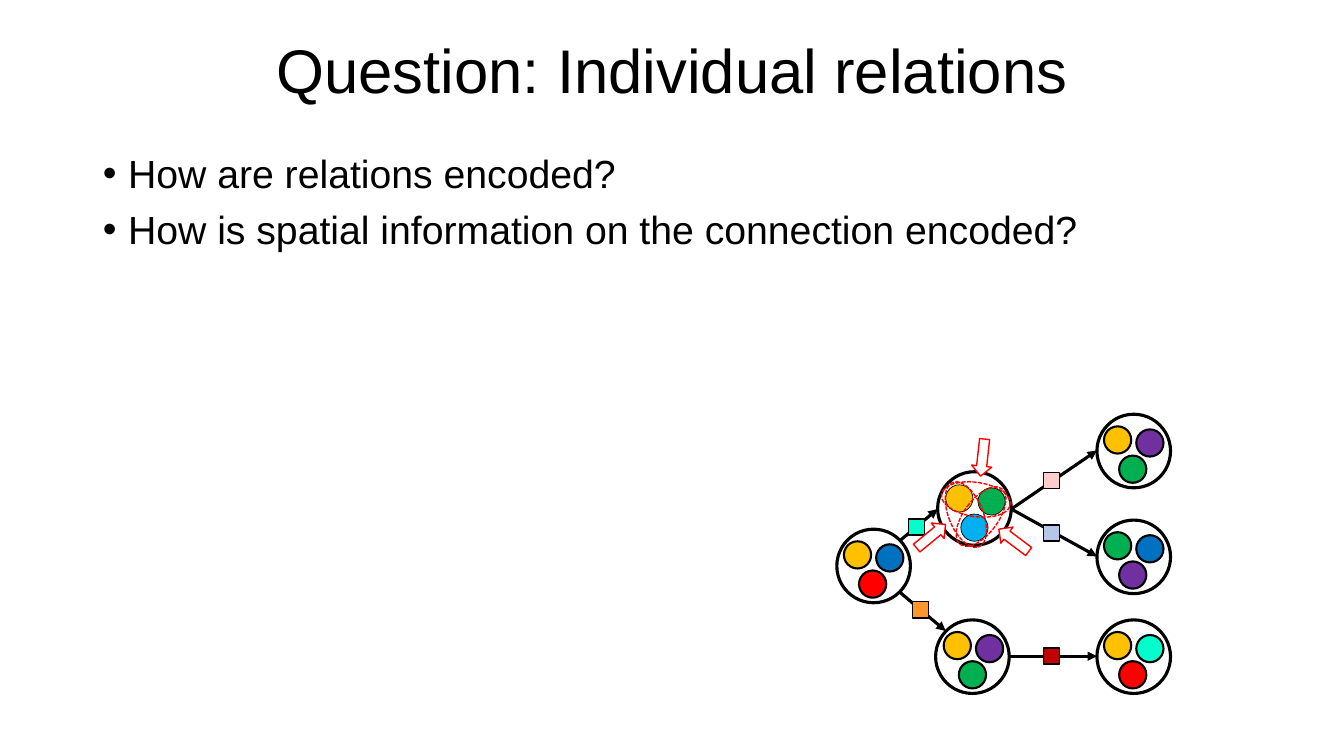
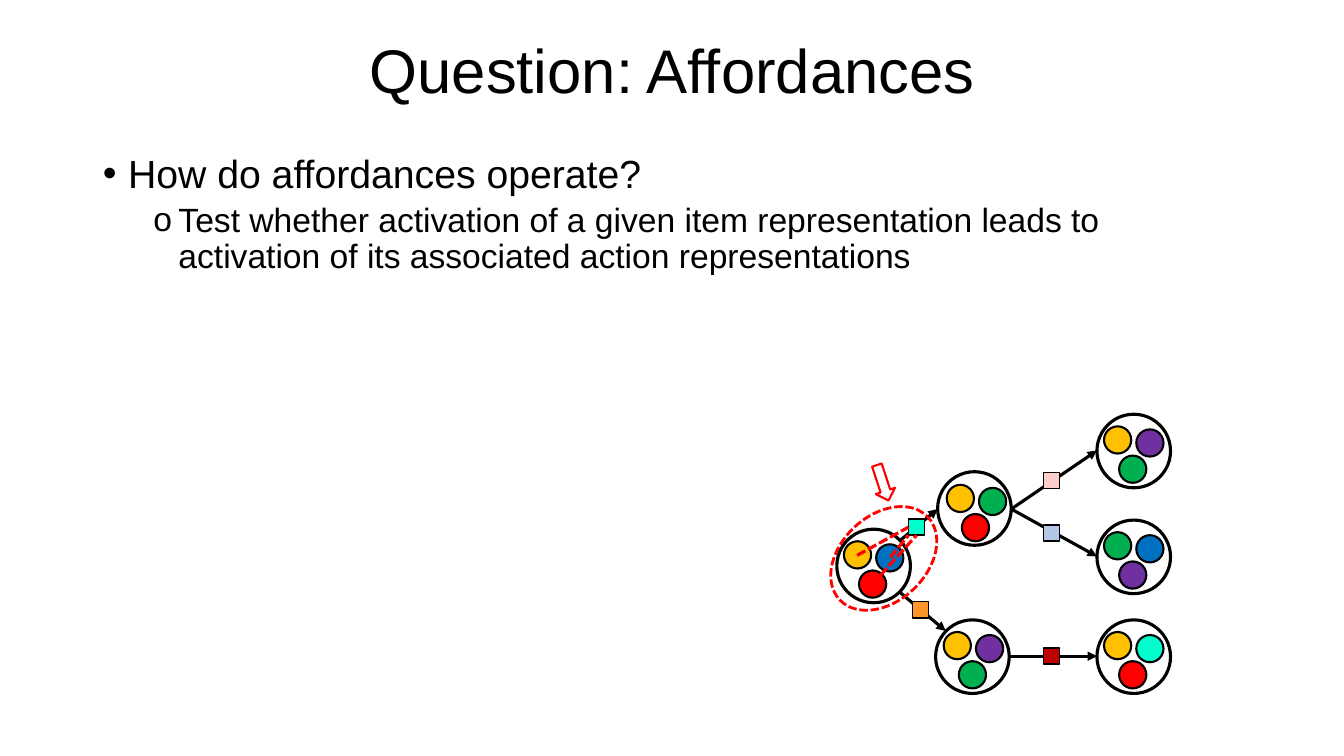
from dataclasses import dataclass
from typing import NamedTuple

from lxml.etree import SubElement
from pptx import Presentation
from pptx.dml.color import RGBColor
from pptx.enum.dml import MSO_LINE
from pptx.enum.shapes import MSO_CONNECTOR, MSO_SHAPE
from pptx.enum.text import MSO_ANCHOR, PP_ALIGN
from pptx.oxml.ns import qn
from pptx.util import Inches, Pt


# Shared look
@dataclass(frozen=True)
class Theme:
    font: str = "Arial"
    title_size: float = 44
    body_sizes: tuple = (28, 24)
    bullets: tuple = ("•", "o")
    indents: tuple = (0.25, 0.75)
    space_before: tuple = (10, 5)
    line_spacing: float = 0.9
    black: str = "000000"
    white: str = "FFFFFF"
    gold: str = "FFC000"
    red: str = "FF0000"
    blue: str = "0070C0"
    sky: str = "00B0F0"
    green: str = "00B050"
    purple: str = "7030A0"
    aqua: str = "00FFCC"
    orange: str = "FE962B"
    maroon: str = "C00000"
    pale_blue: str = "B4C7E7"
    pink: str = "FFCCCC"


THEME = Theme()
NODE_SIZE, DOT_SIZE, ACTION_SIZE = 0.73, 0.27, 0.16
DOT_OFFSETS = ((0.07, 0.12), (0.22, 0.41), (0.39, 0.15))


class Stroke(NamedTuple):
    color: str
    width: float
    dashed: bool = False


class Node(NamedTuple):
    left: float
    top: float
    dots: tuple[str, str, str]  # left, bottom, right
    shift: tuple[float, float] = (0, 0)
    dot_line: float = 1.5


class Action(NamedTuple):
    left: float
    top: float
    fill: str


class Link(NamedTuple):
    start: tuple[float, float]
    end: tuple[float, float]


class Mark(NamedTuple):
    box: tuple[float, float, float, float]
    angle: float


class Point(NamedTuple):
    text: str
    level: int = 0


@dataclass(frozen=True)
class Question:
    title: str
    points: tuple[Point, ...]
    focus: Node
    arrows: tuple[Mark, ...]
    rings: tuple[Mark, ...]
    arrow_line: Stroke
    ring_line: Stroke
    ties: tuple[Link, ...] = ()


# Network common to both slides
NODES = (
    Node(8.3, 5.25, (THEME.gold, THEME.red, THEME.blue)),
    Node(9.28, 6.15, (THEME.gold, THEME.green, THEME.purple), (0.01, 0)),
    Node(10.88, 6.15, (THEME.gold, THEME.red, THEME.aqua)),
    Node(10.88, 5.16, (THEME.green, THEME.purple, THEME.blue)),
    Node(10.88, 4.11, (THEME.gold, THEME.green, THEME.purple)),
)
LINKS = (
    Link((10.01, 6.51), (10.88, 6.51)),
    Link((8.93, 5.88), (9.38, 6.26)),
    Link((10.03, 5.05), (10.88, 5.52)),
    Link((8.93, 5.36), (9.3, 5.05)),
    Link((10.03, 5.05), (10.88, 4.47)),
)
ACTIONS = (
    Action(9.01, 5.15, THEME.aqua),
    Action(9.05, 5.97, THEME.orange),
    Action(10.35, 6.43, THEME.maroon),
    Action(10.35, 5.21, THEME.pale_blue),
    Action(10.35, 4.69, THEME.pink),
)

# What each slide asks and highlights
QUESTIONS = (
    Question(
        "Question: Individual relations",
        (Point("How are relations encoded?"),
         Point("How is spatial information on the connection encoded?")),
        focus=Node(9.3, 4.68, (THEME.gold, THEME.sky, THEME.green), (0.01, 0.01), 0.5),
        arrows=(Mark((9.56, 4.44, 0.37, 0.2), 96.2),
                Mark((9.87, 5.26, 0.37, 0.2), 216.9),
                Mark((9.05, 5.22, 0.37, 0.2), 320.6)),
        rings=(Mark((9.41, 4.76, 0.34, 0.69), 337.7),
               Mark((9.51, 4.61, 0.34, 0.69), 278.4),
               Mark((9.56, 4.78, 0.34, 0.69), 36.5)),
        arrow_line=Stroke(THEME.red, 1),
        ring_line=Stroke(THEME.red, 1, True),
    ),
    Question(
        "Question: Affordances",
        (Point("How do affordances operate?"),
         Point("Test whether activation of a given item representation leads to "
               "activation of its associated action representations", 1)),
        focus=Node(9.3, 4.68, (THEME.gold, THEME.red, THEME.green), (0.02, 0.01)),
        arrows=(Mark((8.57, 4.69, 0.37, 0.2), 71.8),),
        rings=(Mark((8.34, 4.94, 0.85, 1.2), 46.9),),
        arrow_line=Stroke(THEME.red, 1.5),
        ring_line=Stroke(THEME.red, 2, True),
        ties=(Link((8.5, 5.51), (9.01, 5.23)),
              Link((8.83, 5.53), (9.01, 5.31)),
              Link((8.65, 5.8), (9.09, 5.31))),
    ),
)


# Drawing helpers
def apply_format(target, values: dict) -> None:
    for name, value in values.items():
        setattr(target, name, value)


def place(shape, left: float, top: float, width: float, height: float) -> None:
    apply_format(shape, {"left": Inches(left), "top": Inches(top),
                         "width": Inches(width), "height": Inches(height)})


def set_line(line, stroke: Stroke) -> None:
    line.color.rgb = RGBColor.from_string(stroke.color)
    line.width = Pt(stroke.width)
    if stroke.dashed:
        line.dash_style = MSO_LINE.SQUARE_DOT


def add_figure(page, kind, box: tuple, stroke: Stroke,
               fill: str | None = None, angle: float = 0) -> None:
    shape = page.shapes.add_shape(kind, *map(Inches, box))
    shape.shadow.inherit = False
    shape.rotation = angle
    if fill:
        shape.fill.solid()
        shape.fill.fore_color.rgb = RGBColor.from_string(fill)
    else:
        shape.fill.background()
    set_line(shape.line, stroke)


def add_link(page, link: Link, stroke: Stroke, arrow: bool = False) -> None:
    connector = page.shapes.add_connector(
        MSO_CONNECTOR.STRAIGHT, *map(Inches, link.start + link.end))
    set_line(connector.line, stroke)
    if arrow:
        SubElement(connector.line._get_or_add_ln(), qn("a:tailEnd"), type="triangle")
    SubElement(connector._element.spPr, qn("a:effectLst"))


def add_text(para, text: str, size: float) -> None:
    span = para.add_run()
    span.text = text
    apply_format(span.font, {"name": THEME.font, "size": Pt(size)})
    span.font.color.rgb = RGBColor.from_string(THEME.black)


# Slide parts
def write_title(page, text: str) -> None:
    title = page.shapes.title
    place(title, 0.92, 0, 11.5, 1.45)
    apply_format(title.text_frame, {"word_wrap": True,
                                    "vertical_anchor": MSO_ANCHOR.MIDDLE})
    para = title.text_frame.paragraphs[0]
    apply_format(para, {"alignment": PP_ALIGN.CENTER,
                        "line_spacing": THEME.line_spacing})
    add_text(para, text, THEME.title_size)


def write_points(page, points: tuple[Point, ...]) -> None:
    body = page.placeholders[1]
    place(body, 0.92, 1.48, 11.5, 3.34)
    frame = body.text_frame
    for index, point in enumerate(points):
        para = frame.add_paragraph() if index else frame.paragraphs[0]
        level = point.level
        properties = para._p.get_or_add_pPr()
        properties.set("marL", str(Inches(THEME.indents[level])))
        properties.set("indent", str(Inches(-0.25)))
        SubElement(properties, qn("a:buFont"), typeface=THEME.font)
        SubElement(properties, qn("a:buChar"), char=THEME.bullets[level])
        apply_format(para, {
            "level": level, "line_spacing": THEME.line_spacing,
            "space_before": Pt(THEME.space_before[level] if index else 0)})
        add_text(para, point.text, THEME.body_sizes[level])


def draw_network(page, focus: Node) -> None:
    nodes = (*NODES, focus)
    heavy = Stroke(THEME.black, 2.25)
    for node in nodes:
        add_figure(page, MSO_SHAPE.OVAL, (node.left, node.top, NODE_SIZE, NODE_SIZE),
                   heavy, THEME.white)
    for link in LINKS:
        add_link(page, link, heavy, arrow=True)
    for action in ACTIONS:
        add_figure(page, MSO_SHAPE.RECTANGLE,
                   (action.left, action.top, ACTION_SIZE, ACTION_SIZE),
                   Stroke(THEME.black, 1), action.fill)
    for node in nodes:
        for (across, down), color in zip(DOT_OFFSETS, node.dots):
            left = node.left + node.shift[0] + across
            top = node.top + node.shift[1] + down
            add_figure(page, MSO_SHAPE.OVAL, (left, top, DOT_SIZE, DOT_SIZE),
                       Stroke(THEME.black, node.dot_line), color)


def draw_highlights(page, question: Question) -> None:
    for tie in question.ties:
        add_link(page, tie, Stroke(THEME.red, 2.25, True))
    for ring in question.rings:
        add_figure(page, MSO_SHAPE.OVAL, ring.box, question.ring_line, angle=ring.angle)
    for arrow in question.arrows:
        add_figure(page, MSO_SHAPE.RIGHT_ARROW, arrow.box, question.arrow_line,
                   THEME.white, arrow.angle)


def main() -> None:
    deck = Presentation()
    apply_format(deck, {"slide_width": Inches(13.33), "slide_height": Inches(7.5)})
    for question in QUESTIONS:
        page = deck.slides.add_slide(deck.slide_layouts[1])
        write_title(page, question.title)
        write_points(page, question.points)
        draw_network(page, question.focus)
        draw_highlights(page, question)
    deck.save("out.pptx")


if __name__ == "__main__":
    main()
